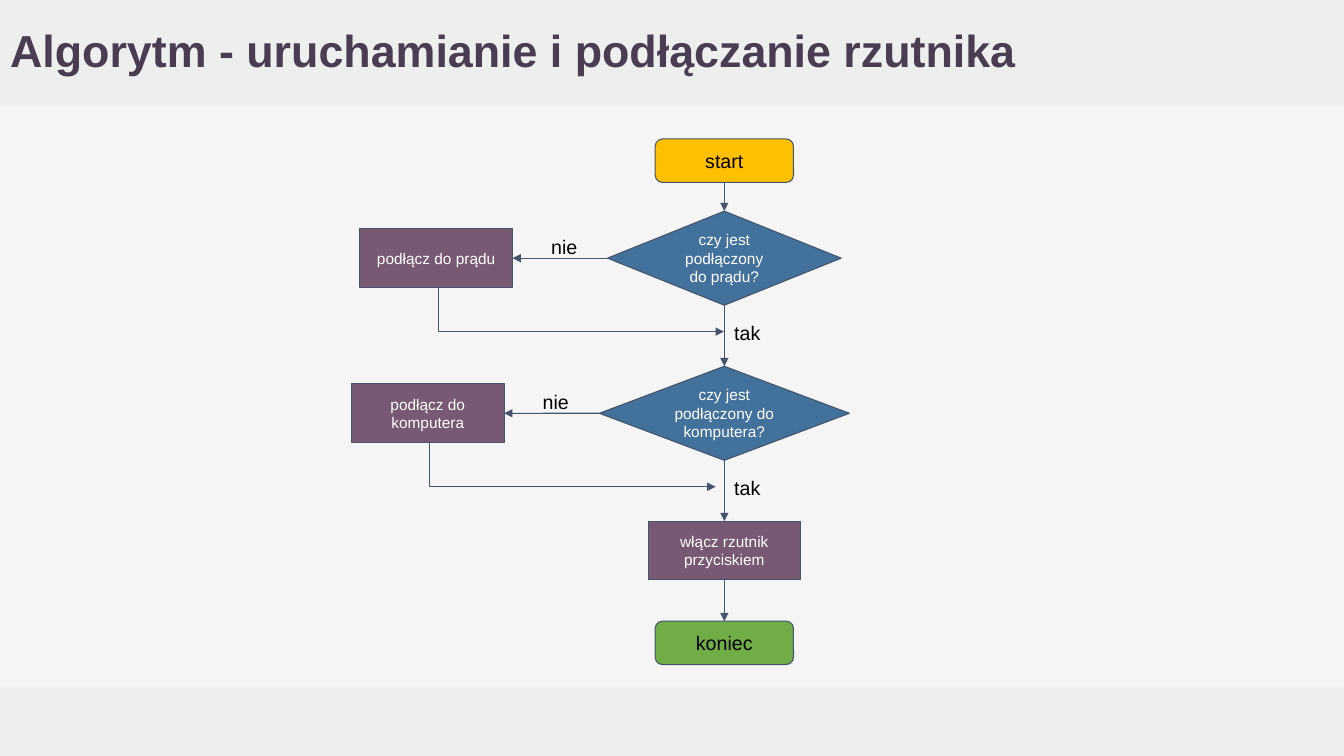
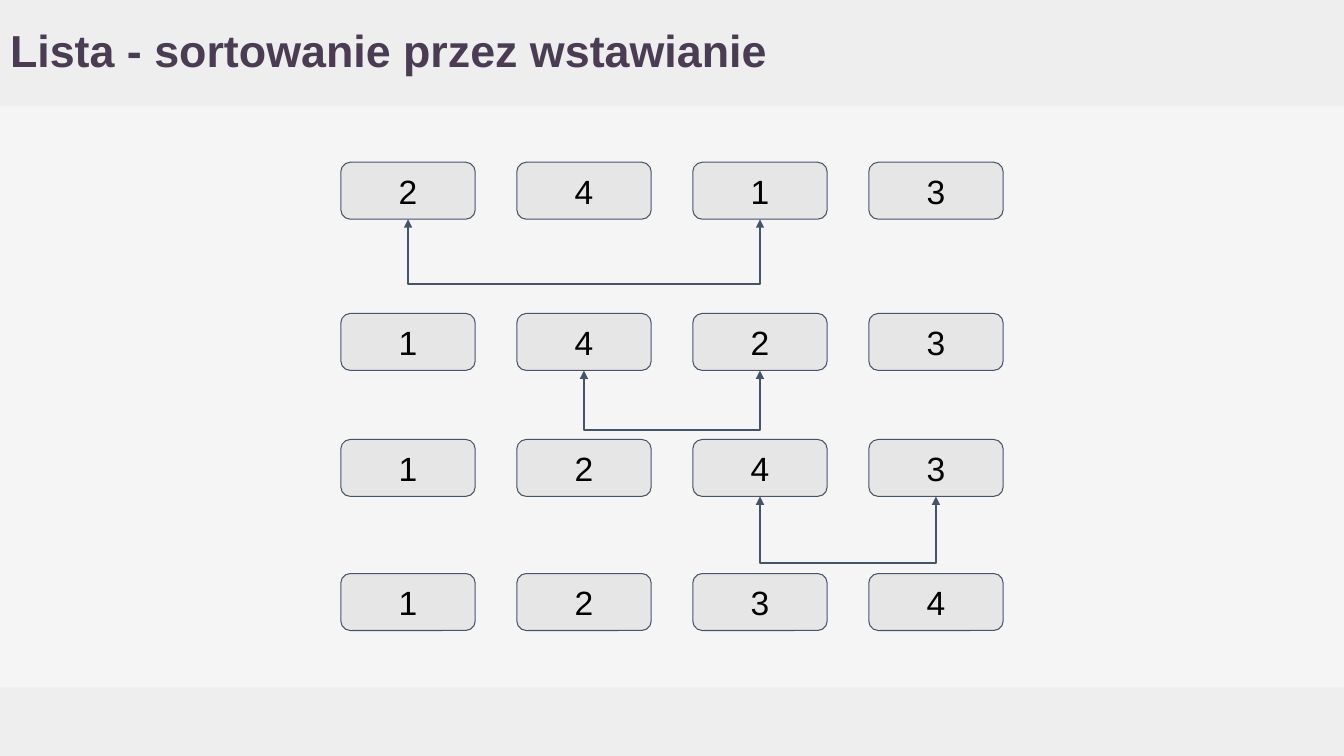
from dataclasses import dataclass

from lxml import etree
from pptx import Presentation
from pptx.dml.color import RGBColor
from pptx.enum import shapes, text
from pptx.oxml import ns
from pptx.util import Pt


@dataclass(frozen=True)
class Theme:
    font: str = "Arial"
    page: str = "F5F5F5"
    band: str = "EEEEEE"
    title: str = "4A3D53"
    line: str = "44546A"
    dark: str = "000000"
    light: str = "FFFFFF"
    start: str = "FFC000"
    end: str = "70AD47"
    decision: str = "42719B"
    action: str = "775973"
    cell: str = "E7E6E6"
    title_size: float = 32
    cell_size: float = 24
    label_size: float = 14
    step_size: float = 11
    thin: float = 0.75
    thick: float = 1.5
    inset: float = 7.2


THEME = Theme()
PAGE_WIDTH, PAGE_HEIGHT = 960, 540
TITLE_BAND, FOOTER_BAND = 75.6, 49
TITLE_WIDTH = 858
TOP, LEFT, BOTTOM, RIGHT = range(4)  # connection sites


@dataclass(frozen=True)
class NodeStyle:
    outline: shapes.MSO_SHAPE
    fill: str
    color: str
    size: float
    height: float


ROUNDED = shapes.MSO_SHAPE.ROUNDED_RECTANGLE
START = NodeStyle(ROUNDED, THEME.start, THEME.dark, THEME.label_size, 31)
END = NodeStyle(ROUNDED, THEME.end, THEME.dark, THEME.label_size, 31)
DECISION = NodeStyle(shapes.MSO_SHAPE.DIAMOND, THEME.decision, THEME.light,
                     THEME.step_size, 67.2)
ACTION = NodeStyle(shapes.MSO_SHAPE.RECTANGLE, THEME.action, THEME.light,
                   THEME.step_size, 41.9)
CELL = NodeStyle(ROUNDED, THEME.cell, THEME.dark, THEME.cell_size, 40.7)


@dataclass(frozen=True)
class Check:
    question: str
    action: str
    width: float
    center_y: float
    action_x: float


@dataclass(frozen=True)
class SortStep:
    values: tuple[int, ...]
    top: float
    swap: tuple[int, int] | None = None
    swap_y: float = 0


# Flowchart content
AXIS_X = 517.4
TERMINAL_WIDTH, ACTION_WIDTH = 98.8, 109
CHECKS = (
    Check("czy jest podłączony do prądu?", "podłącz do prądu", 167, 184.4, 311.6),
    Check("czy jest podłączony do komputera?", "podłącz do komputera", 178.6, 295.2, 305.6),
)

# Sorting content
CELL_WIDTH, CELL_GAP = 96, 29.7
SORT_STEPS = (
    SortStep((2, 4, 1, 3), 115.9, (0, 2), 202.9),
    SortStep((1, 4, 2, 3), 223.9, (1, 2), 307.1),
    SortStep((1, 2, 4, 3), 313.9, (2, 3), 402.1),
    SortStep((1, 2, 3, 4), 409.7),
)


# Drawing helpers
def rgb(value: str) -> RGBColor:
    return RGBColor.from_string(value)


def write(shape, content: str, *, size: float, color: str, bold: bool = False,
          align=text.PP_ALIGN.LEFT, anchor=text.MSO_ANCHOR.MIDDLE,
          spacing: float | None = None) -> None:
    frame = shape.text_frame
    frame.text = content
    frame.word_wrap = True
    frame.auto_size = text.MSO_AUTO_SIZE.NONE
    frame.vertical_anchor = anchor
    frame.margin_left = frame.margin_right = Pt(THEME.inset)
    frame.margin_top = frame.margin_bottom = Pt(THEME.inset)
    paragraph = frame.paragraphs[0]
    paragraph.alignment = align
    if spacing:
        paragraph.line_spacing = spacing
    font = paragraph.runs[0].font
    font.name, font.size, font.bold = THEME.font, Pt(size), bold
    font.color.rgb = rgb(color)


def set_stroke(line, width: float) -> None:
    line.color.rgb = rgb(THEME.line)
    line.width = Pt(width)


def add_arrowheads(shape, *ends: str) -> None:
    stroke = shape.element.spPr.get_or_add_ln()
    for end in ends:
        etree.SubElement(stroke, ns.qn(f"a:{end}"), type="triangle")


def add_node(slide, content: str, style: NodeStyle, center_x: float,
             center_y: float, width: float):
    node = slide.shapes.add_shape(
        style.outline, Pt(center_x - width / 2), Pt(center_y - style.height / 2),
        Pt(width), Pt(style.height))
    node.shadow.inherit = False
    node.fill.solid()
    node.fill.fore_color.rgb = rgb(style.fill)
    set_stroke(node.line, THEME.thin)
    write(node, content, size=style.size, color=style.color,
          align=text.PP_ALIGN.CENTER)
    return node


def add_label(slide, content: str, left: float, top: float) -> None:
    label = slide.shapes.add_textbox(Pt(left), Pt(top), Pt(39), Pt(31))
    write(label, content, size=THEME.label_size, color=THEME.dark,
          anchor=text.MSO_ANCHOR.TOP)


def add_arrow(slide, kind, start: tuple[float, float] = (0, 0),
              end: tuple[float, float] = (0, 0)):
    arrow = slide.shapes.add_connector(kind, *(Pt(v) for v in (*start, *end)))
    set_stroke(arrow.line, THEME.thin)
    add_arrowheads(arrow, "tailEnd")
    etree.SubElement(arrow.element.spPr, ns.qn("a:effectLst"))
    return arrow


def link(slide, source, source_site: int, target, target_site: int) -> None:
    arrow = add_arrow(slide, shapes.MSO_CONNECTOR.STRAIGHT)
    arrow.begin_connect(source, source_site)
    arrow.end_connect(target, target_site)


def add_return_arrow(slide, start: tuple[float, float],
                     end: tuple[float, float]) -> None:
    """Go straight down, then across."""
    arrow = add_arrow(slide, shapes.MSO_CONNECTOR.ELBOW, start, end)
    guides = arrow.element.spPr.find(ns.qn("a:prstGeom")).get_or_add_avLst()
    etree.SubElement(guides, ns.qn("a:gd"), name="adj1", fmla="val 0")


def add_swap_bracket(slide, left: float, right: float, top: float,
                     bottom: float) -> None:
    outline = slide.shapes.build_freeform(Pt(left), Pt(top))
    corners = ((left, bottom), (right, bottom), (right, top))
    outline.add_line_segments([(Pt(x), Pt(y)) for x, y in corners], close=False)
    bracket = outline.convert_to_shape()
    bracket.shadow.inherit = False
    bracket.fill.background()
    set_stroke(bracket.line, THEME.thick)
    add_arrowheads(bracket, "headEnd", "tailEnd")


# Shared master and title
def set_up_layout(deck, slide, layout) -> None:
    """Put the background, bands and title position behind every slide."""
    master = deck.slide_master
    master.background.fill.solid()
    master.background.fill.fore_color.rgb = rgb(THEME.page)
    bands = ((0, TITLE_BAND), (PAGE_HEIGHT - FOOTER_BAND, FOOTER_BAND))
    for number, (top, height) in enumerate(bands):
        band = slide.shapes.add_shape(shapes.MSO_SHAPE.RECTANGLE, 0, Pt(top),
                                      Pt(PAGE_WIDTH), Pt(height))
        band.shadow.inherit = False
        band.fill.solid()
        band.fill.fore_color.rgb = rgb(THEME.band)
        band.line.fill.background()
        band.element.nvSpPr.cNvPr.set("id", str(100 + number))
        master.shapes.element.insert(2, band.element)
    title = layout.placeholders[0]
    title.left, title.top = Pt(0), Pt(0)
    title.width, title.height = Pt(TITLE_WIDTH), Pt(TITLE_BAND)


def set_title(slide, content: str) -> None:
    write(slide.shapes.title, content, size=THEME.title_size, color=THEME.title,
          bold=True, spacing=0.9)


# Slides
def draw_flowchart(slide) -> None:
    set_title(slide, "Algorytm - uruchamianie i podłączanie rzutnika")
    previous = add_node(slide, "start", START, AXIS_X, 114.8, TERMINAL_WIDTH)
    for check in CHECKS:
        y = check.center_y
        decision = add_node(slide, check.question, DECISION, AXIS_X, y, check.width)
        action = add_node(slide, check.action, ACTION, check.action_x, y, ACTION_WIDTH)
        link(slide, previous, BOTTOM, decision, TOP)
        link(slide, decision, LEFT, action, RIGHT)
        add_return_arrow(slide, (check.action_x + 1.5, y + 21.5),
                         (check.action_x + 205.5, y + 52.5))
        add_label(slide, "nie", check.action_x + 75, y - 23.6)
        add_label(slide, "tak", AXIS_X, y + 37.5)
        previous = decision
    switch_on = add_node(slide, "włącz rzutnik przyciskiem", ACTION, AXIS_X, 393.2,
                         ACTION_WIDTH)
    finish = add_node(slide, "koniec", END, AXIS_X, 459.2, TERMINAL_WIDTH)
    link(slide, previous, BOTTOM, switch_on, TOP)
    link(slide, switch_on, BOTTOM, finish, TOP)


def draw_sorting(slide) -> None:
    set_title(slide, "Lista - sortowanie przez wstawianie")
    pitch = CELL_WIDTH + CELL_GAP
    for step in SORT_STEPS:
        first_x = (PAGE_WIDTH - pitch * (len(step.values) - 1)) / 2
        for column, value in enumerate(step.values):
            add_node(slide, str(value), CELL, first_x + column * pitch,
                     step.top + CELL.height / 2, CELL_WIDTH)
        if step.swap:
            left, right = (first_x + column * pitch for column in step.swap)
            add_swap_bracket(slide, left, right, step.top + CELL.height, step.swap_y)


def main() -> None:
    deck = Presentation()
    deck.slide_width, deck.slide_height = Pt(PAGE_WIDTH), Pt(PAGE_HEIGHT)
    layout = deck.slide_layouts.get_by_name("Title Only")
    flowchart, sorting = (deck.slides.add_slide(layout) for _ in range(2))
    set_up_layout(deck, flowchart, layout)
    draw_flowchart(flowchart)
    draw_sorting(sorting)
    deck.save("out.pptx")


if __name__ == "__main__":
    main()
